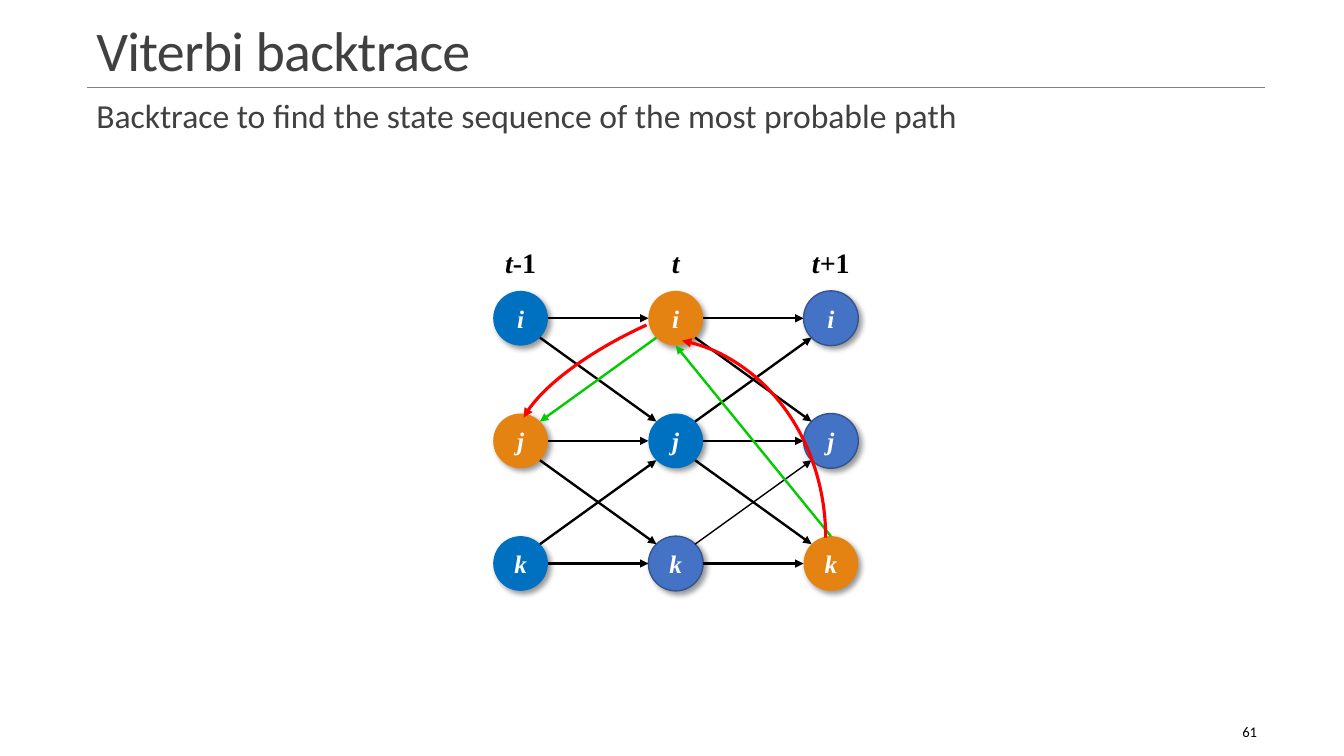
from lxml import etree
from pptx import Presentation
from pptx.dml.color import RGBColor
from pptx.enum.shapes import MSO_CONNECTOR, MSO_SHAPE
from pptx.enum.text import MSO_ANCHOR, PP_ALIGN
from pptx.oxml.ns import qn
from pptx.util import Cm, Pt

STRAIGHT = MSO_CONNECTOR.STRAIGHT
OVAL, ARC = MSO_SHAPE.OVAL, MSO_SHAPE.ARC
TOP, MIDDLE, BOTTOM = MSO_ANCHOR.TOP, MSO_ANCHOR.MIDDLE, MSO_ANCHOR.BOTTOM
LEFT, CENTER, RIGHT = PP_ALIGN.LEFT, PP_ALIGN.CENTER, PP_ALIGN.RIGHT

# Content
TITLE = "Viterbi backtrace"
BODY = "Backtrace to find the state sequence of the most probable path"
PAGE = "61"
STATES = ["i", "j", "k"]
TIMES = [("t", "-1"), ("t", ""), ("t", "+1")]
NODE_KINDS = [  # one row per state, one entry per time
    ["reached", "best", "other"],
    ["best", "reached", "other"],
    ["reached", "other", "best"],
]
# (time, state) to (time, state), colour, width
FORWARD = [((c, s), (c + 1, s), "edge", 1.7) for c in range(2) for s in range(3)]
FORWARD += [
    ((0, 0), (1, 1), "edge", 1.7), ((0, 1), (1, 2), "edge", 1.7),
    ((0, 2), (1, 1), "edge", 1.7), ((1, 0), (2, 1), "edge", 1.7),
    ((1, 1), (2, 2), "edge", 1.7), ((1, 1), (2, 0), "edge", 1.7),
    ((1, 2), (2, 1), "edge", 1),
]
POINTERS = [((1, 0), (0, 1), "pointer", 1.7), ((2, 2), (1, 0), "pointer", 1.7)]
BACKTRACE_ARCS = [  # left, top, width, height in cm, rotation
    (12.07, 8.51, 8.74, 10.08, 0),
    (15.47, 5.33, 2.82, 8.28, 245.5),
]
ARC_START, ARC_END = 167.13, 0

THEME = {
    "sans": "Calibri", "serif": "Times New Roman",
    "title_size": 40, "body_size": 24, "time_size": 20, "state_size": 18, "page_size": 10.5,
    "heading": "404040", "ink": "000000", "white": "FFFFFF", "rule": "808080",
    "reached": "0070C0", "best": "E48312", "other": "4472C4", "other_line": "325491",
    "edge": "000000", "pointer": "00CC00", "trace": "FF0000",
}

# Trellis grid, in cm
FIRST_X, FIRST_Y = 13.12, 8.02
STEP_X, STEP_Y = 3.91, 3.09
RADIUS = 0.69
DIAGONAL = RADIUS * 0.707


def rgb(name):
    return RGBColor.from_string(THEME[name])


def center(time, state):
    return FIRST_X + time * STEP_X, FIRST_Y + state * STEP_Y


def add_run(p, text, size, color, font="sans", bold=False, italic=False):
    r = p.add_run()
    r.text = text
    r.font.name, r.font.size = THEME[font], Pt(THEME[size])
    r.font.color.rgb = rgb(color)
    r.font.bold, r.font.italic = bold, italic
    return r


def add_box(slide, x, y, w, h, anchor=TOP, align=LEFT, spacing=1.0):
    """Add a wrapping text box and return its first paragraph."""
    tf = slide.shapes.add_textbox(Cm(x), Cm(y), Cm(w), Cm(h)).text_frame
    tf.word_wrap, tf.vertical_anchor = True, anchor
    p = tf.paragraphs[0]
    p.alignment, p.line_spacing = align, spacing
    return p


def add_line(slide, x1, y1, x2, y2, color, width):
    line = slide.shapes.add_connector(STRAIGHT, Cm(x1), Cm(y1), Cm(x2), Cm(y2))
    line.line.color.rgb, line.line.width = rgb(color), Pt(width)
    etree.SubElement(line._element.spPr, qn("a:effectLst"))
    return line


def add_arrowhead(sp, end):
    etree.SubElement(sp.line._get_or_add_ln(), qn("a:" + end), type="triangle")


def add_soft_shadow(sp):
    sp.shadow.inherit = False
    effects = sp._element.spPr.find(qn("a:effectLst"))
    outer = etree.SubElement(effects, qn("a:outerShdw"), blurRad=str(Pt(4)),
                             dist=str(Pt(3)), dir="2700000", algn="tl", rotWithShape="0")
    black = etree.SubElement(outer, qn("a:srgbClr"), val=THEME["ink"])
    etree.SubElement(black, qn("a:alpha"), val="40000")


def add_node(slide, time, state):
    x, y = center(time, state)
    kind = NODE_KINDS[state][time]
    sp = slide.shapes.add_shape(OVAL, Cm(x - RADIUS), Cm(y - RADIUS),
                                Cm(2 * RADIUS), Cm(2 * RADIUS))
    sp.fill.solid()
    sp.fill.fore_color.rgb = rgb(kind)
    if kind == "other":
        sp.line.color.rgb, sp.line.width = rgb("other_line"), Pt(1)
    else:
        sp.line.fill.background()
    add_soft_shadow(sp)
    tf = sp.text_frame
    tf.margin_left = tf.margin_right = tf.margin_top = tf.margin_bottom = 0
    tf.word_wrap, tf.vertical_anchor = False, MIDDLE
    p = tf.paragraphs[0]
    p.alignment = CENTER
    add_run(p, STATES[state], "state_size", "white", "serif", True, True)


def add_edge(slide, start, end, color, width):
    """Join two nodes from rim to rim; the rim point depends on the slope."""
    (x1, y1), (x2, y2) = center(*start), center(*end)
    across, down = end[0] - start[0], end[1] - start[1]
    reach_x, reach_y = [(RADIUS, 0), (DIAGONAL, DIAGONAL), (0, RADIUS)][abs(down)]
    dx = reach_x if across > 0 else -reach_x
    dy = reach_y if down > 0 else -reach_y
    line = add_line(slide, x1 + dx, y1 + dy, x2 - dx, y2 - dy, color, width)
    add_arrowhead(line, "tailEnd")


def add_backtrace_arc(slide, x, y, w, h, rotation):
    sp = slide.shapes.add_shape(ARC, Cm(x), Cm(y), Cm(w), Cm(h))
    sp.adjustments[0], sp.adjustments[1] = ARC_START, ARC_END
    sp.rotation = rotation
    sp.shadow.inherit = False
    sp.fill.background()
    sp.line.color.rgb, sp.line.width = rgb("trace"), Pt(2.25)
    add_arrowhead(sp, "headEnd")


def main():
    prs = Presentation()
    prs.slide_width, prs.slide_height = Cm(33.87), Cm(19.05)
    slide = prs.slides.add_slide(prs.slide_layouts[6])

    add_line(slide, 2.18, 2.21, 31.88, 2.21, "rule", 0.5)
    p = add_box(slide, 2.18, 0.33, 29.72, 1.88, BOTTOM, spacing=0.85)
    r = add_run(p, TITLE, "title_size", "heading")
    r.font._element.set("spc", "-50")
    p = add_box(slide, 2.18, 2.39, 29.72, 15.11, spacing=0.9)
    add_run(p, BODY, "body_size", "heading")

    for time, (name, offset) in enumerate(TIMES):
        for state in range(len(STATES)):
            add_node(slide, time, state)
        p = add_box(slide, center(time, 0)[0] - 0.9, 6.05, 1.8, 1.12, align=CENTER)
        add_run(p, name, "time_size", "ink", "serif", True, True)
        if offset:
            add_run(p, offset, "time_size", "ink", "serif", True)

    for edge in FORWARD + POINTERS:
        add_edge(slide, *edge)
    for arc in BACKTRACE_ARCS:
        add_backtrace_arc(slide, *arc)

    p = add_box(slide, 28.3, 17.93, 3.63, 1.02, MIDDLE, RIGHT)
    add_run(p, PAGE, "page_size", "ink")
    prs.save("out.pptx")


if __name__ == "__main__":
    main()
